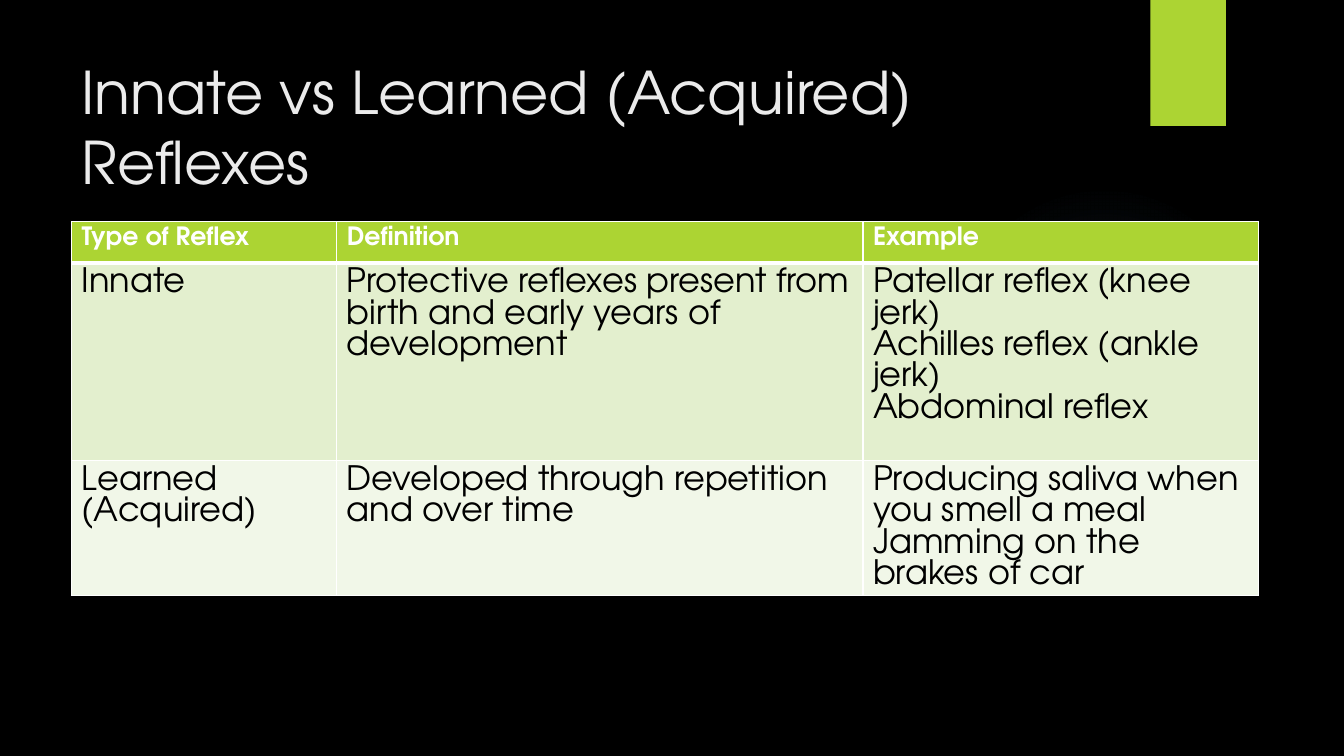
from pptx import Presentation
from pptx.dml.color import RGBColor
from pptx.enum.shapes import MSO_SHAPE
from pptx.enum.text import MSO_ANCHOR, PP_ALIGN
from pptx.util import Inches, Pt
from pptx.oxml import parse_xml
from pptx.oxml.ns import nsdecls

FONT = "TeX Gyre Adventor"
GREEN = "ACD433"


def color(value):
    return RGBColor.from_string(value)


def style(para, size, value, bold=False):
    para.alignment = PP_ALIGN.LEFT
    para.font.name = FONT
    para.font.size = Pt(size)
    para.font.bold = bold
    para.font.color.rgb = color(value)


deck = Presentation()
deck.slide_width = Inches(13.33)
deck.slide_height = Inches(7.5)
page = deck.slides.add_slide(deck.slide_layouts[5])
page.background.fill.solid()
page.background.fill.fore_color.rgb = color("000000")

# Faint blue glow
glow = page.shapes.add_shape(MSO_SHAPE.OVAL, Inches(9.41), Inches(1.83),
                             Inches(3.08), Inches(3.08))
glow.shadow.inherit = False
glow.line.fill.background()
stops = "".join(
    f'<a:gs pos="{position * 1000}"><a:srgbClr val="7AC4F0">'
    f'<a:alpha val="{alpha * 1000}"/></a:srgbClr></a:gs>'
    for position, alpha in [(0, 7), (36, 6), (69, 0), (100, 0)])
glow.element.spPr.find("{*}prstGeom").addnext(parse_xml(
    f'<a:gradFill {nsdecls("a")}><a:gsLst>{stops}</a:gsLst><a:path path="circle">'
    '<a:fillToRect l="50000" t="50000" r="50000" b="50000"/></a:path></a:gradFill>'))

# Green tab at the top edge
tab = page.shapes.add_shape(MSO_SHAPE.RECTANGLE, Inches(11.41), 0,
                            Inches(0.75), Inches(1.25))
tab.shadow.inherit = False
tab.fill.solid()
tab.fill.fore_color.rgb = color(GREEN)
tab.line.fill.background()

# Title
title = page.shapes.title
title.left, title.top = Inches(0.71), Inches(0.5)
title.width, title.height = Inches(10.29), Inches(1.53)
title.text_frame.text = "Innate vs Learned (Acquired) Reflexes"
title.text_frame.word_wrap = True
title.text_frame.vertical_anchor = MSO_ANCHOR.TOP
style(title.text_frame.paragraphs[0], 42, "EBEBEB")

# Table of reflex types
rows = [
    ["Type of Reflex", "Definition", "Example"],
    ["Innate",
     "Protective reflexes present from birth and early years of development",
     "Patellar reflex (knee jerk)\nAchilles reflex (ankle jerk)\nAbdominal reflex"],
    ["Learned (Acquired)",
     "Developed through repetition and over time",
     "Producing saliva when you smell a meal\nJamming on the brakes of car"],
]
widths = [2.63, 5.22, 3.92]
heights = [0.41, 1.96, 1.34]
fills = [GREEN, "E3EFCE", "F1F7E8"]
table = page.shapes.add_table(len(rows), len(widths), Inches(0.71), Inches(2.2),
                              Inches(sum(widths)), Inches(sum(heights))).table
for column, width in zip(table.columns, widths):
    column.width = Inches(width)

for index, texts in enumerate(rows):
    table.rows[index].height = Inches(heights[index])
    header = index == 0
    for cell, text in zip(table.rows[index].cells, texts):
        cell.text = text
        for para in cell.text_frame.paragraphs:
            style(para, 18 if header else 24, "FFFFFF" if header else "000000", header)
        cell.fill.solid()
        cell.fill.fore_color.rgb = color(fills[index])
        # White borders, heavier below the header
        edges = {"lnL": 1, "lnR": 1, "lnT": 1, "lnB": 3 if header else 1}
        for place, (edge, points) in enumerate(edges.items()):
            cell._tc.get_or_add_tcPr().insert(place, parse_xml(
                f'<a:{edge} {nsdecls("a")} w="{Pt(points)}"><a:solidFill>'
                f'<a:srgbClr val="FFFFFF"/></a:solidFill></a:{edge}>'))

deck.save("out.pptx")
